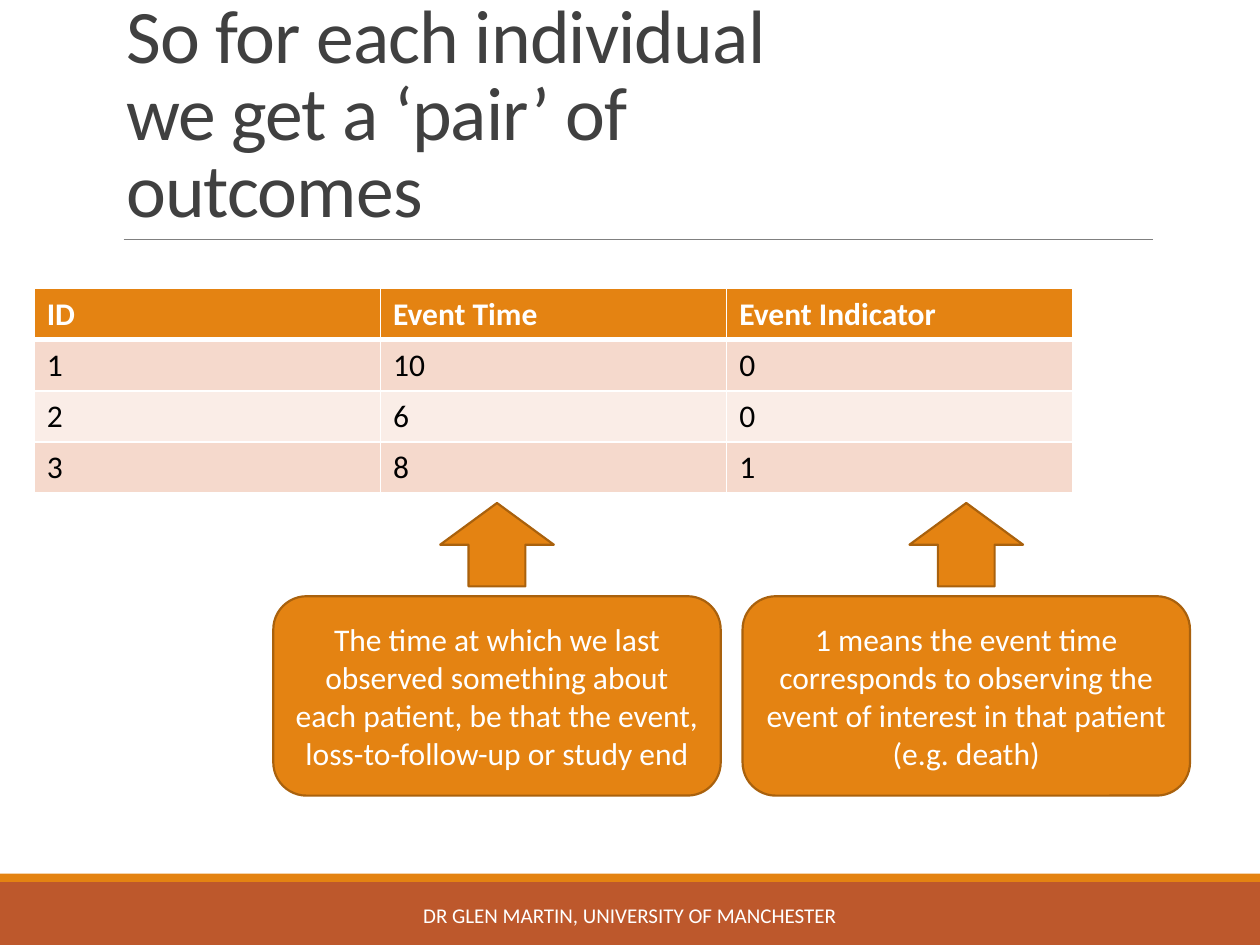
from lxml import etree
from pptx import Presentation
from pptx.dml.color import RGBColor
from pptx.enum.shapes import MSO_CONNECTOR, MSO_SHAPE
from pptx.enum.text import MSO_ANCHOR, MSO_AUTO_SIZE, PP_ALIGN
from pptx.oxml.ns import qn
from pptx.util import Cm, Pt

RECTANGLE, ROUNDED, ARROW = MSO_SHAPE.RECTANGLE, MSO_SHAPE.ROUNDED_RECTANGLE, MSO_SHAPE.RIGHT_ARROW
STRAIGHT = MSO_CONNECTOR.STRAIGHT
LEFT, CENTER = PP_ALIGN.LEFT, PP_ALIGN.CENTER
TOP, MIDDLE, BOTTOM = MSO_ANCHOR.TOP, MSO_ANCHOR.MIDDLE, MSO_ANCHOR.BOTTOM
NO_AUTOFIT = MSO_AUTO_SIZE.NONE

TITLE = "So for each individual we get a ‘pair’ of outcomes"
OUTCOMES = [
    ("ID", "Event Time", "Event Indicator"),
    ("1", "10", "0"),
    ("2", "6", "0"),
    ("3", "8", "1"),
]
EXPLANATIONS = [
    "The time at which we last observed something about each patient, "
    "be that the event, loss-to-follow-up or study end",
    "1 means the event time corresponds to observing the event of interest "
    "in that patient (e.g. death)",
]
FOOTER = "DR GLEN MARTIN, UNIVERSITY OF MANCHESTER"

THEME = {
    "font": "Calibri",
    "title_size": 43.2, "body_size": 18, "footer_size": 12,
    "title": "404040", "text": "000000", "light": "FFFFFF",
    "accent": "E48312", "outline": "A9610D", "footer": "BD582C", "rule": "808080",
    "bands": ("F5D9CC", "FAEDE7"),
}

# Positions in centimetres
SLIDE_WIDTH, SLIDE_HEIGHT = 25.4, 19.05
FOOTER_TOP, STRIPE_HEIGHT = 17.78, 0.17
TABLE_LEFT, TABLE_TOP, COLUMN_WIDTH, ROW_HEIGHT = 0.69, 5.82, 6.98, 1.03
BOX_LEFT, BOX_TOP, BOX_WIDTH, BOX_HEIGHT, BOX_STEP = 5.51, 12.02, 9.02, 4.02, 9.46
ARROW_LENGTH, ARROW_BREADTH, ARROW_MIDDLE = 1.68, 2.29, 10.98


def rgb(name):
    return RGBColor.from_string(THEME.get(name, name))


def write(frame, text, size="body_size", color="light", bold=False, align=LEFT,
          anchor=MIDDLE, line_spacing=1.0, tracking=None):
    frame.word_wrap = True
    frame.auto_size = NO_AUTOFIT
    frame.vertical_anchor = anchor
    paragraph = frame.paragraphs[0]
    paragraph.alignment = align
    paragraph.line_spacing = line_spacing
    run = paragraph.add_run()
    run.text = text
    run.font.name = THEME["font"]
    run.font.size = Pt(THEME[size])
    run.font.bold = bold
    run.font.color.rgb = rgb(color)
    if tracking is not None:
        run.font._element.set("spc", str(round(tracking * 100)))


def add_block(slide, kind, left, top, width, height, fill, outline=None):
    block = slide.shapes.add_shape(kind, Cm(left), Cm(top), Cm(width), Cm(height))
    block.shadow.inherit = False
    block.fill.solid()
    block.fill.fore_color.rgb = rgb(fill)
    if outline:
        block.line.color.rgb = rgb(outline)
        block.line.width = Pt(1.25)
    else:
        block.line.fill.background()
    return block


def add_rule(slide, left, right, top):
    rule = slide.shapes.add_connector(STRAIGHT, Cm(left), Cm(top), Cm(right), Cm(top))
    rule.line.color.rgb = rgb("rule")
    rule.line.width = Pt(0.5)
    etree.SubElement(rule._element.spPr, qn("a:effectLst"))


def set_borders(cell, top, bottom):
    """Draw white cell borders; call before the fill, which must follow them in the XML."""
    properties = cell._tc.get_or_add_tcPr()
    for tag, points in (("lnL", 1), ("lnR", 1), ("lnT", top), ("lnB", bottom)):
        border = etree.SubElement(properties, qn(f"a:{tag}"), w=str(Pt(points)))
        fill = etree.SubElement(border, qn("a:solidFill"))
        etree.SubElement(fill, qn("a:srgbClr"), val=THEME["light"])


def add_outcome_table(slide):
    row_count, column_count = len(OUTCOMES), len(OUTCOMES[0])
    table = slide.shapes.add_table(
        row_count, column_count, Cm(TABLE_LEFT), Cm(TABLE_TOP),
        Cm(COLUMN_WIDTH * column_count), Cm(ROW_HEIGHT * row_count)).table
    for r, values in enumerate(OUTCOMES):
        header = r == 0
        for c, value in enumerate(values):
            cell = table.cell(r, c)
            set_borders(cell, top=3 if r == 1 else 1, bottom=3 if header else 1)
            cell.fill.solid()
            cell.fill.fore_color.rgb = rgb("accent" if header else THEME["bands"][(r - 1) % 2])
            cell.vertical_anchor = TOP
            write(cell.text_frame, value, color="light" if header else "text",
                  bold=header, anchor=TOP)


def add_explanation(slide, index, text):
    left = BOX_LEFT + index * BOX_STEP
    box = add_block(slide, ROUNDED, left, BOX_TOP, BOX_WIDTH, BOX_HEIGHT, "accent", "outline")
    write(box.text_frame, text, align=CENTER)
    center = left + BOX_WIDTH / 2
    arrow = add_block(slide, ARROW, center - ARROW_LENGTH / 2, ARROW_MIDDLE - ARROW_BREADTH / 2,
                      ARROW_LENGTH, ARROW_BREADTH, "accent", "outline")
    arrow.rotation = 270


def main():
    deck = Presentation()
    deck.slide_width, deck.slide_height = Cm(SLIDE_WIDTH), Cm(SLIDE_HEIGHT)
    slide = deck.slides.add_slide(deck.slide_layouts[5])

    add_block(slide, RECTANGLE, 0, FOOTER_TOP, SLIDE_WIDTH, SLIDE_HEIGHT - FOOTER_TOP, "footer")
    add_block(slide, RECTANGLE, 0, FOOTER_TOP - STRIPE_HEIGHT, SLIDE_WIDTH, STRIPE_HEIGHT, "accent")
    add_rule(slide, 2.49, 23.24, 4.83)

    title = slide.shapes.title
    title.left, title.top, title.width, title.height = Cm(2.29), Cm(0.79), Cm(15.44), Cm(4.04)
    write(title.text_frame, TITLE, size="title_size", color="title", anchor=BOTTOM,
          line_spacing=0.85, tracking=-0.5)

    add_outcome_table(slide)
    for index, text in enumerate(EXPLANATIONS):
        add_explanation(slide, index, text)

    footer = slide.shapes.add_textbox(Cm(7.67), Cm(17.93), Cm(10.06), Cm(1.02))
    write(footer.text_frame, FOOTER, size="footer_size", align=CENTER)

    deck.save("out.pptx")


if __name__ == "__main__":
    main()
